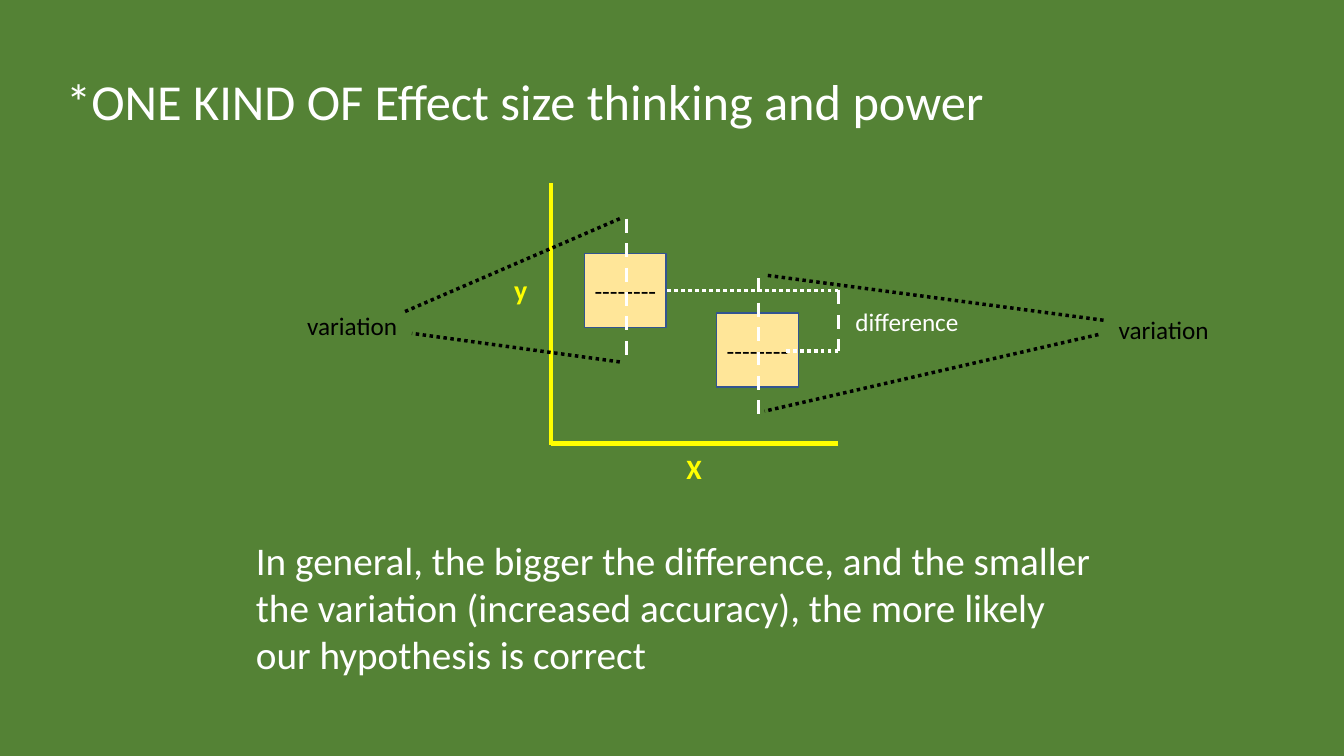
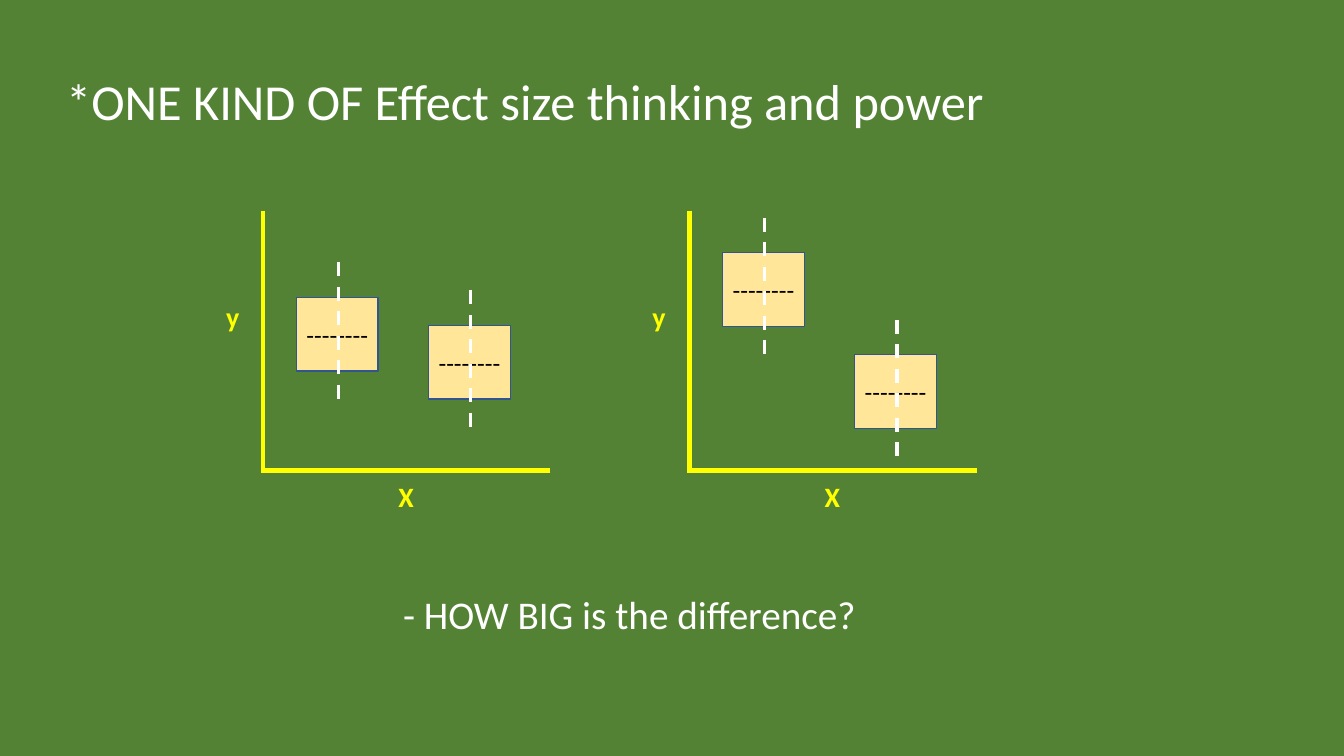
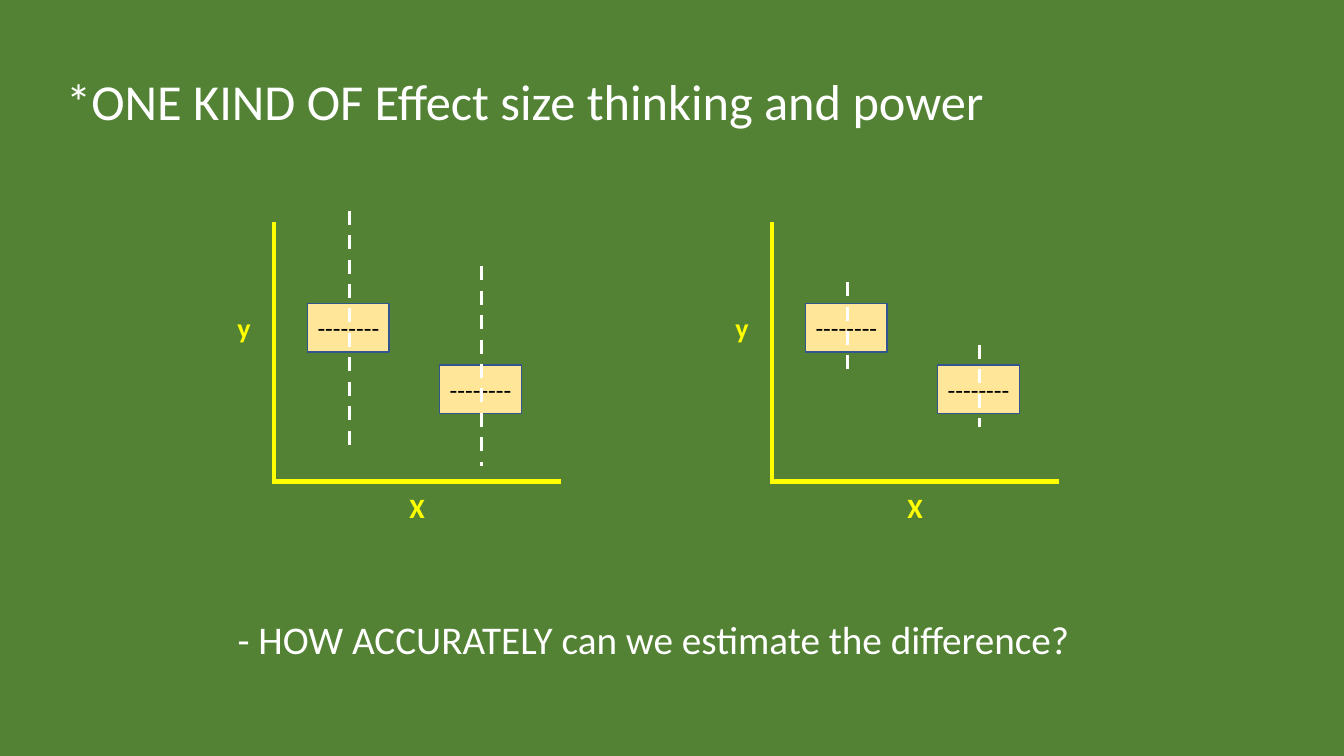
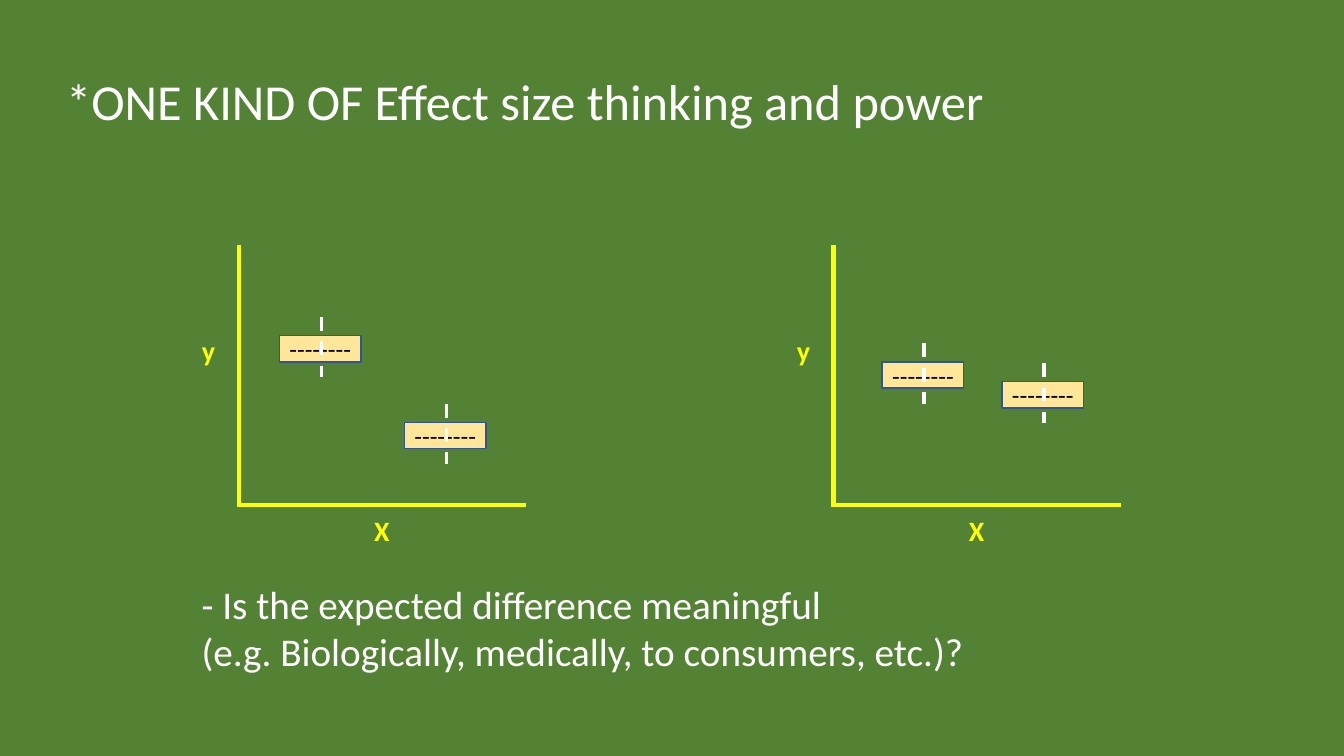
from pptx import Presentation
from pptx.dml.color import RGBColor
from pptx.enum import dml, shapes, text
from pptx.oxml.xmlchemy import OxmlElement
from pptx.util import Cm, Pt

COLORS = {
    "ground": "548235",
    "white": "FFFFFF",
    "black": "000000",
    "axis": "FFFF00",
    "box": "FFE699",
    "outline": "325491",
}
FONT = "Calibri"
TITLE = "*ONE KIND OF Effect size thinking and power"
BOX_W, AXIS_W, AXIS_H = 2.06, 7.24, 6.6
DASH = dml.MSO_LINE.DASH
DOT = dml.MSO_LINE.ROUND_DOT


def rgb(name):
    """Return the named colour."""
    return RGBColor.from_string(COLORS[name])


def write(tf, content, size=18, color="white", bold=False, align=None):
    """Write one paragraph per line into a text frame."""
    for i, line in enumerate(content.split("\n")):
        p = tf.paragraphs[0] if i == 0 else tf.add_paragraph()
        p.alignment = align
        r = p.add_run()
        r.text = line
        r.font.name, r.font.size, r.font.bold = FONT, Pt(size), bold
        r.font.color.rgb = rgb(color)


def add_label(s, content, x, y, w, h, wrap=False, **fmt):
    """Add a text box that grows with its text."""
    tf = s.shapes.add_textbox(Cm(x), Cm(y), Cm(w), Cm(h)).text_frame
    tf.word_wrap = wrap
    tf.auto_size = text.MSO_AUTO_SIZE.SHAPE_TO_FIT_TEXT
    write(tf, content, **fmt)


def add_line(s, x1, y1, x2, y2, color="white", width=2.5, dash=None):
    """Add a straight line without shadow."""
    ln = s.shapes.add_connector(
        shapes.MSO_CONNECTOR.STRAIGHT, Cm(x1), Cm(y1), Cm(x2), Cm(y2))
    ln.line.color.rgb = rgb(color)
    ln.line.width = Pt(width)
    if dash:
        ln.line.dash_style = dash
    ln._element.spPr.append(OxmlElement("a:effectLst"))
    return ln


def add_box(s, x, middle, h):
    """Add a box of the plot with its dashed median."""
    sp = s.shapes.add_shape(
        shapes.MSO_SHAPE.RECTANGLE, Cm(x), Cm(middle - h / 2), Cm(BOX_W), Cm(h))
    sp.shadow.inherit = False
    sp.fill.solid()
    sp.fill.fore_color.rgb = rgb("box")
    sp.line.color.rgb = rgb("outline")
    sp.line.width = Pt(1)
    sp.text_frame.word_wrap = True
    sp.text_frame.vertical_anchor = text.MSO_ANCHOR.MIDDLE
    write(sp.text_frame, "-" * 8, color="black", align=text.PP_ALIGN.CENTER)
    return sp


def add_plot(s, x, y, box_h, groups):
    """Draw axes and boxes; a group is left, middle, whisker up and down."""
    base = y + AXIS_H - 0.05
    add_line(s, x, y, x, y + AXIS_H, color="axis", width=3.25)
    add_line(s, x + AXIS_W, base, x, base, color="axis", width=3.25)
    add_label(s, "X", x + 3.16, y + 6.64, 0.91, 1.12,
              size=20, color="axis", bold=True)
    add_label(s, "y", x - 1.18, y + 2.12, 0.86, 1.12,
              size=20, color="axis", bold=True)
    boxes = [add_box(s, x + left, y + mid, box_h) for left, mid, _, _ in groups]
    for left, mid, up, down in groups:
        stem = x + left + 1.06
        add_line(s, stem, y + mid - up, stem, y + mid + down, dash=DASH)
    return boxes


def add_notes_on_plot(s, x, y, first_box):
    """Mark the difference and the variation around a plot."""
    right, high, low = x + AXIS_W, y + 2.7, y + 4.23
    add_line(s, right, high, right, low, dash=DASH)
    link = add_line(s, right, high, x + 2.9, high, dash=DOT)
    link.end_connect(first_box, 3)
    add_line(s, right, low, x + 5.92, low, dash=DOT)
    add_label(s, "difference", x + 7.42, y + 2.97, 3.15, 1.02)
    for x1, y1, x2, y2 in ((1.73, 0.89, -3.73, 3.25), (1.73, 4.5, -3.51, 3.78),
                           (13.79, 3.81, 5.38, 5.74), (13.92, 3.45, 5.38, 2.31)):
        add_line(s, x + x1, y + y1, x + x2, y + y2, color="black", dash=DOT)
    for dx, dy in ((-6.4, 3.07), (14.05, 3.18)):
        add_label(s, "variation", x + dx, y + dy, 2.82, 1.02, color="black")


def add_slide(prs):
    """Add a blank slide with the shared title."""
    s = prs.slides.add_slide(prs.slide_layouts[6])
    add_label(s, TITLE, 1.42, 1.65, 27.2, 1.8, wrap=True, size=36)
    return s


def summary_slide(prs):
    """Build the slide with one annotated plot."""
    s = add_slide(prs)
    x, y = 13.89, 4.62
    boxes = add_plot(s, x, y, 1.86,
                     [(0.84, 2.7, 1.81, 1.81), (4.17, 4.2, 1.81, 1.81)])
    add_notes_on_plot(s, x, y, boxes[0])
    add_label(s, "In general, the bigger the difference, and the smaller the "
              "variation (increased accuracy), the more likely our hypothesis "
              "is correct", 6.2, 13.39, 21.84, 3.84, wrap=True, size=28)


def comparison_slide(prs, question, place, plots_top, box_h, plots):
    """Build a slide that compares plots above a question."""
    s = add_slide(prs)
    for x, groups in plots:
        add_plot(s, x, plots_top, box_h, groups)
    add_label(s, question, *place, size=28)


def main():
    """Build the deck."""
    prs = Presentation()
    prs.slide_width, prs.slide_height = Cm(33.87), Cm(19.05)
    fill = prs.slide_master.background.fill
    fill.solid()
    fill.fore_color.rgb = rgb("ground")

    summary_slide(prs)
    comparison_slide(
        prs, "- HOW BIG is the difference?", (9.91, 14.76, 12.07, 1.45), 5.31, 1.86,
        [(6.63, [(0.84, 3.11, 1.81, 1.81), (4.17, 3.82, 1.81, 1.81)]),
         (17.37, [(0.84, 1.99, 1.81, 1.81), (4.17, 4.56, 1.81, 1.81)])])
    comparison_slide(
        prs, "- HOW ACCURATELY can we estimate the difference?",
        (5.74, 15.39, 21.95, 1.45), 5.59, 1.22,
        [(6.91, [(0.84, 2.67, 2.95, 3.02), (4.17, 4.22, 3.1, 1.93)]),
         (19.46, [(0.84, 2.67, 1.15, 1.04), (4.17, 4.22, 1.12, 0.94)])])
    comparison_slide(
        prs, "- Is the expected difference meaningful\n"
        "(e.g. Biologically, medically, to consumers, etc.)?",
        (4.83, 14.5, 19.91, 2.64), 6.17, 0.66,
        [(6.02, [(1.02, 2.62, 0.8, 0.72), (4.17, 4.8, 0.8, 0.72)]),
         (21.01, [(1.22, 3.28, 0.8, 0.72), (4.24, 3.78, 0.8, 0.72)])])
    prs.save("out.pptx")


if __name__ == "__main__":
    main()
